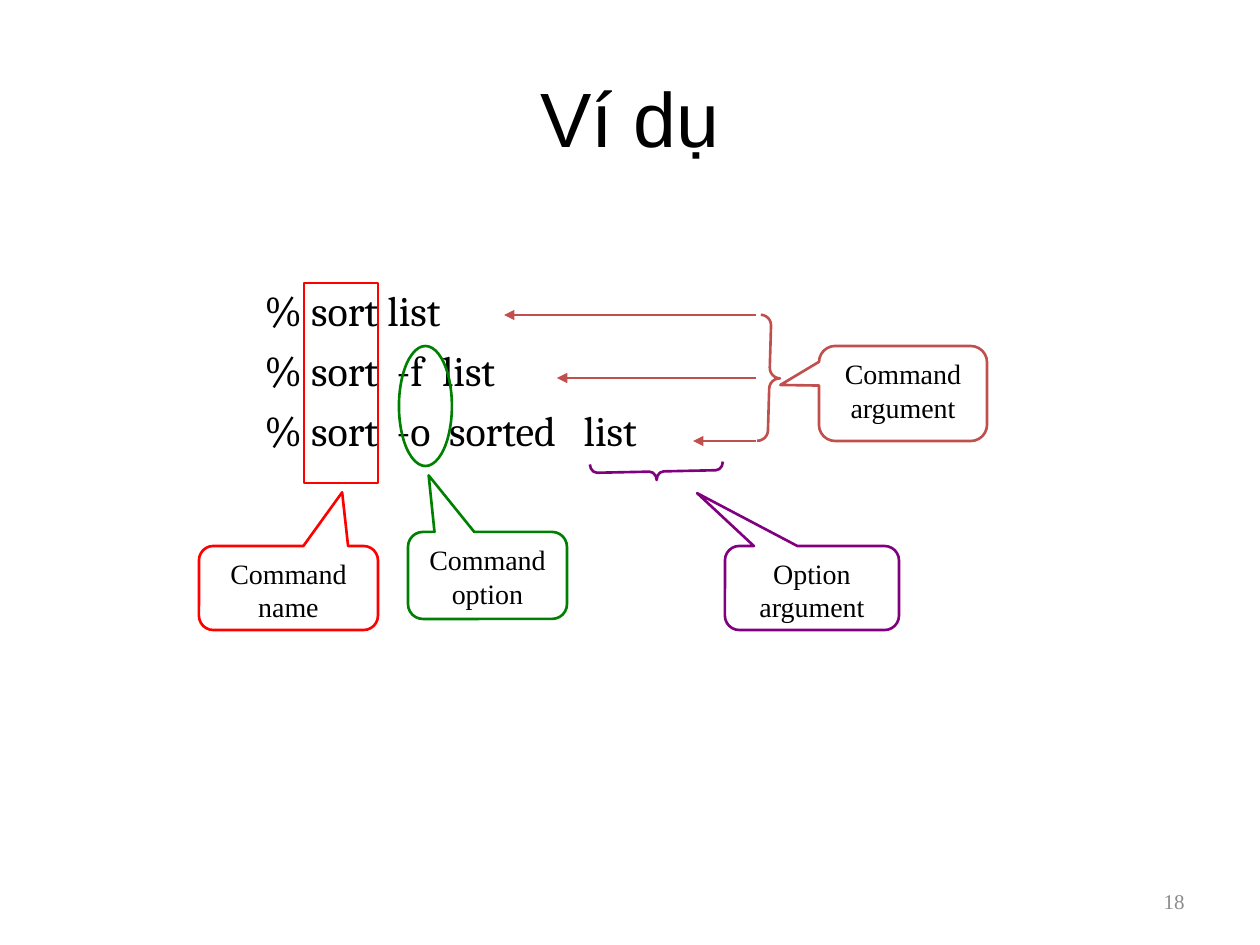
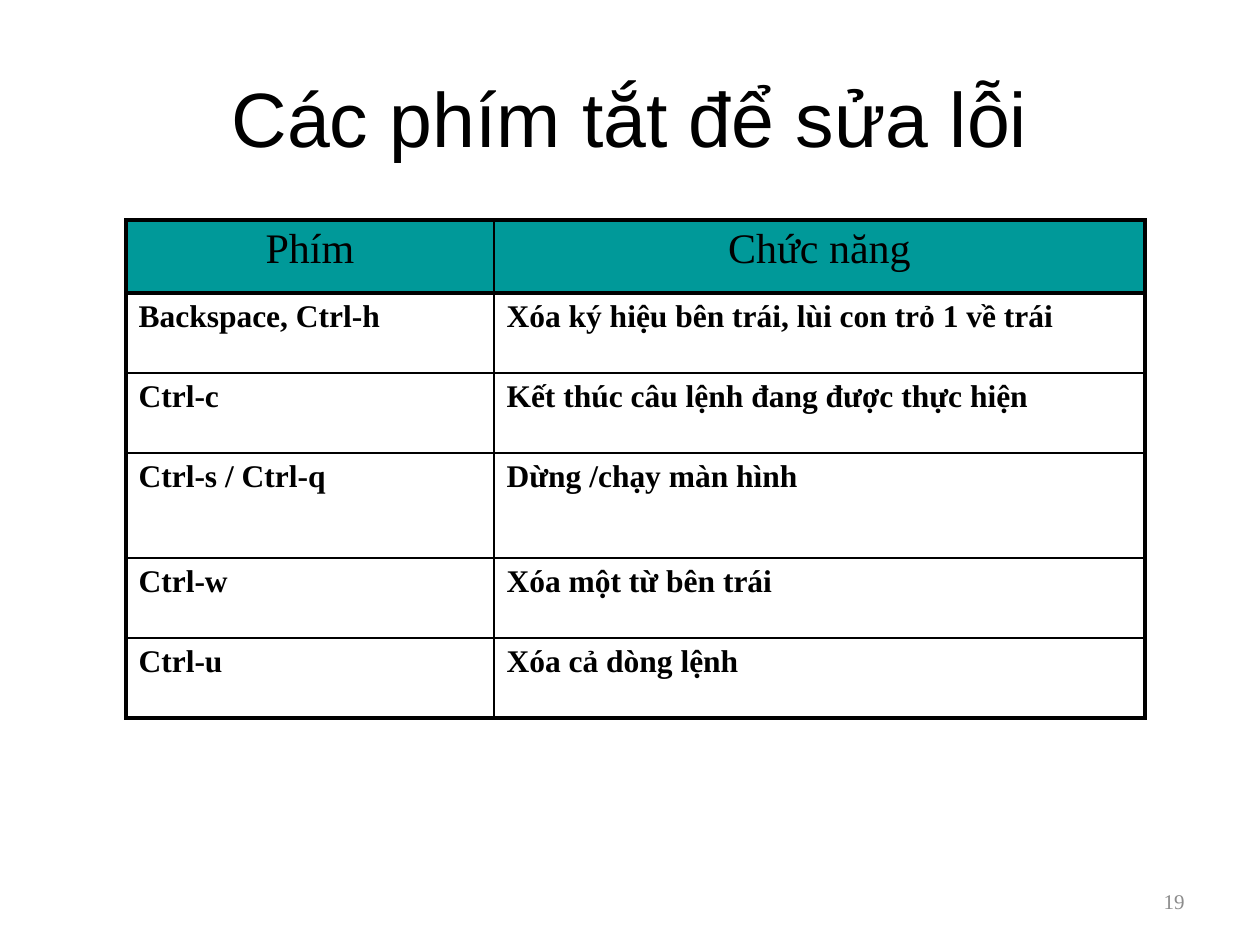
import dataclasses

import lxml.etree
import pptx
import pptx.dml.color
import pptx.enum.shapes
import pptx.enum.text
import pptx.oxml.ns
import pptx.util

SHAPE = pptx.enum.shapes.MSO_SHAPE
ALIGN = pptx.enum.text.PP_ALIGN
ANCHOR = pptx.enum.text.MSO_ANCHOR
qn = pptx.oxml.ns.qn


@dataclasses.dataclass(frozen=True)
class Theme:
    ink: str = "000000"
    muted: str = "8C8C8C"
    header: str = "009999"
    argument: str = "C0504D"
    name: str = "FF0000"
    option: str = "008000"
    option_argument: str = "800080"
    title_font: str = "Arial"
    code_font: str = "Cambria"
    text_font: str = "Times New Roman"
    title_size: int = 44
    code_size: int = 24
    header_size: int = 24
    cell_size: int = 18
    label_size: int = 16
    number_size: int = 12
    code_gap: float = 5.6
    stroke: float = 1.5
    inner_border: float = 1
    outer_border: float = 2.25
    header_border: float = 3


def px(n):
    return pptx.util.Emu(round(n * 914400 / 126))


def rgb(code):
    return pptx.dml.color.RGBColor.from_string(code)


def sub(parent, tag, **attributes):
    return lxml.etree.SubElement(parent, qn(tag), **attributes)


class Deck:
    def __init__(self, theme):
        self.theme = theme
        self.prs = pptx.Presentation()
        self.prs.slide_width = px(1260)
        self.prs.slide_height = px(945)
        self.slide = None

    def place(self, s, box):
        s.left, s.top, s.width, s.height = map(px, box)

    def add_text(self, p, text, size, font=None, color=None, bold=False, align=ALIGN.LEFT):
        p.alignment = align
        r = p.add_run()
        r.text = text
        r.font.name = font or self.theme.text_font
        r.font.size = pptx.util.Pt(size)
        r.font.bold = bold
        r.font.color.rgb = rgb(color or self.theme.ink)

    def new_slide(self, layout, title, number):
        t = self.theme
        self.slide = self.prs.slides.add_slide(self.prs.slide_layouts[layout])
        s = self.slide.shapes.title
        self.place(s, (63, 38, 1134, 158))
        tf = s.text_frame
        tf.vertical_anchor = ANCHOR.MIDDLE
        self.add_text(tf.paragraphs[0], title, t.title_size, t.title_font, align=ALIGN.CENTER)
        tf = self.slide.shapes.add_textbox(*map(px, (903, 876, 294, 50))).text_frame
        tf.word_wrap = True
        tf.vertical_anchor = ANCHOR.MIDDLE
        self.add_text(tf.paragraphs[0], number, t.number_size, color=t.muted, align=ALIGN.RIGHT)

    def code(self, box, lines):
        t = self.theme
        s = self.slide.placeholders[1]
        self.place(s, box)
        tf = s.text_frame
        tf.auto_size = pptx.enum.text.MSO_AUTO_SIZE.NONE
        for i, line in enumerate(lines):
            p = tf.add_paragraph() if i else tf.paragraphs[0]
            p.level = 1
            p.space_before = pptx.util.Pt(t.code_gap if i else 0)
            self.add_text(p, line, t.code_size, t.code_font)
            pPr = p._p.get_or_add_pPr()
            pPr.set("marL", str(px(102)))
            pPr.set("indent", str(px(-39)))
            sub(pPr, "a:buNone")

    def outline(self, kind, box, color, adjustments=(), rotation=0):
        s = self.slide.shapes.add_shape(kind, *map(px, box))
        s.shadow.inherit = False
        s.fill.background()
        s.line.color.rgb = rgb(color)
        s.line.width = pptx.util.Pt(self.theme.stroke)
        s.rotation = rotation
        for i, value in enumerate(adjustments):
            s.adjustments[i] = value
        return s

    def callout(self, box, color, tip, lines):
        s = self.outline(SHAPE.ROUNDED_RECTANGULAR_CALLOUT, box, color, (*tip, 0.17))
        tf = s.text_frame
        tf.word_wrap = True
        tf.vertical_anchor = ANCHOR.TOP
        for i, line in enumerate(lines):
            p = tf.add_paragraph() if i else tf.paragraphs[0]
            self.add_text(p, line, self.theme.label_size, align=ALIGN.CENTER)

    def arrow(self, start, end, color):
        s = self.slide.shapes.add_connector(
            pptx.enum.shapes.MSO_CONNECTOR.STRAIGHT, *map(px, (*start, *end)))
        s.line.color.rgb = rgb(color)
        s.line.width = pptx.util.Pt(self.theme.stroke)
        spPr = s._element.spPr
        sub(spPr.find(qn("a:ln")), "a:tailEnd", type="triangle")
        sub(spPr, "a:effectLst")

    def borders(self, cell, widths):
        tcPr = cell._tc.get_or_add_tcPr()
        for side, width in zip("LRTB", widths):
            ln = sub(tcPr, f"a:ln{side}", w=str(pptx.util.Pt(width)))
            sub(sub(ln, "a:solidFill"), "a:srgbClr", val=self.theme.ink)

    def table(self, corner, widths, heights, rows):
        t = self.theme
        box = (*corner, sum(widths), sum(heights))
        table = self.slide.shapes.add_table(len(rows), len(widths), *map(px, box)).table
        table.first_row = table.horz_banding = False
        for column, width in zip(table.columns, widths):
            column.width = px(width)
        for row, height in zip(table.rows, heights):
            row.height = px(height)
        inner, outer = t.inner_border, t.outer_border
        x_lines = [outer] + [inner] * (len(widths) - 1) + [outer]
        y_lines = [outer, t.header_border] + [inner] * (len(rows) - 2) + [outer]
        for i, row in enumerate(rows):
            for j, text in enumerate(row):
                cell = table.cell(i, j)
                self.borders(cell, x_lines[j:j + 2] + y_lines[i:i + 2])
                p = cell.text_frame.paragraphs[0]
                if i:
                    cell.fill.background()
                    self.add_text(p, text, t.cell_size, bold=True)
                else:
                    cell.fill.solid()
                    cell.fill.fore_color.rgb = rgb(t.header)
                    self.add_text(p, text, t.header_size, align=ALIGN.CENTER)


def example_slide(deck):
    t = deck.theme
    deck.new_slide(1, "Ví dụ", "18")
    deck.code((189, 278, 1008, 562),
              ["% sort list", "% sort  -f  list", "% sort  -o  sorted   list"])

    for i, tip in enumerate((504, 557, 693)):
        y = 315 + 63 * i
        deck.arrow((756, y), (tip, y), t.argument)
    deck.outline(SHAPE.LEFT_BRACE, (759, 315, 21, 126), t.argument, (0.5, 0.5), 181.7)
    deck.callout((819, 346, 168, 95), t.argument, (-0.73, -0.09), ["Command", "argument"])

    deck.outline(SHAPE.RECTANGLE, (304, 283, 74, 200), t.name)
    deck.callout((199, 546, 179, 84), t.name, (0.3, -1.14), ["Command name"])

    deck.outline(SHAPE.OVAL, (399, 346, 53, 120), t.option)
    deck.callout((408, 532, 159, 87), t.option, (-0.37, -1.15), ["Command option"])

    deck.outline(SHAPE.LEFT_BRACE, (648, 405, 17, 133), t.option_argument,
                 (0.42, 0.5), 268.8)
    deck.callout((725, 546, 174, 84), t.option_argument, (-0.66, -1.13),
                 ["Option argument"])


def shortcuts_slide(deck):
    deck.new_slide(5, "Các phím tắt để sửa lỗi", "19")
    deck.table((126, 220), (368, 651), (73, 80, 80, 105, 80, 80), [
        ("Phím", "Chức năng"),
        ("Backspace, Ctrl-h", "Xóa ký hiệu bên trái, lùi con trỏ 1 về trái"),
        ("Ctrl-c", "Kết thúc câu lệnh đang được thực hiện"),
        ("Ctrl-s / Ctrl-q", "Dừng /chạy màn hình"),
        ("Ctrl-w", "Xóa một từ bên trái"),
        ("Ctrl-u", "Xóa cả dòng lệnh"),
    ])


def main():
    deck = Deck(Theme())
    example_slide(deck)
    shortcuts_slide(deck)
    deck.prs.save("out.pptx")


if __name__ == "__main__":
    main()
